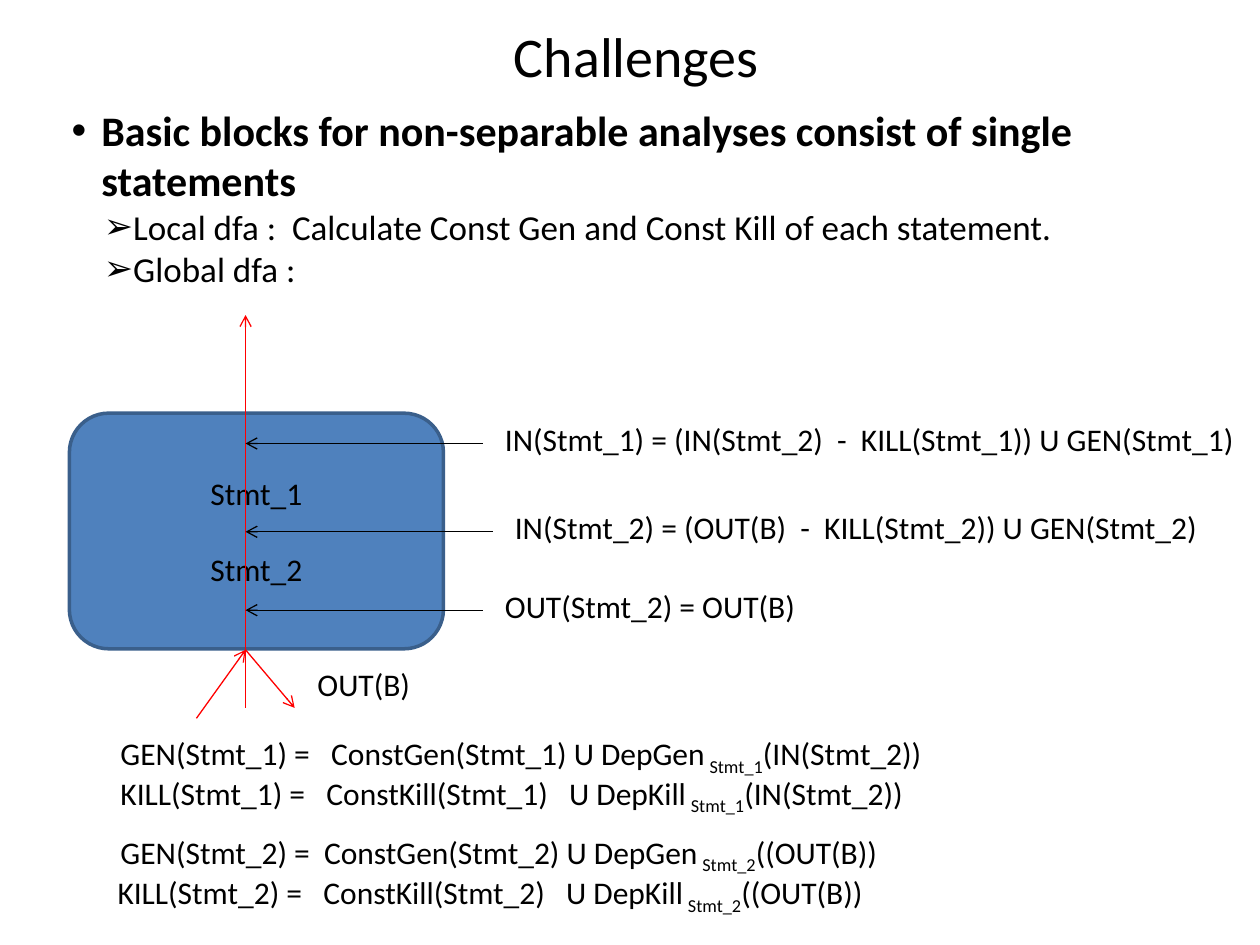
import pptx
import pptx.util
import pptx.dml.color
import pptx.enum.shapes
import pptx.enum.text
import pptx.oxml
import pptx.oxml.ns
import lxml.etree

Cm, Pt = pptx.util.Cm, pptx.util.Pt
RGB = pptx.dml.color.RGBColor
BLACK = RGB(0x00, 0x00, 0x00)
RED = RGB(0xFF, 0x00, 0x00)
BLUE = RGB(0x4F, 0x81, 0xBD)
NAVY = RGB(0x3A, 0x5F, 0x8B)
ALIGN = pptx.enum.text.PP_ALIGN
ANCHOR = pptx.enum.text.MSO_ANCHOR
TIGHT = {"space_before": Pt(0), "space_after": Pt(0)}


def put(obj, vals):
    for key, val in vals.items():
        setattr(obj, key, val)


def child(node, tag, **attrs):
    """Append a drawing element to an XML node."""
    new = lxml.etree.SubElement(node, pptx.oxml.ns.qn(tag))
    for key, val in attrs.items():
        new.set(key, str(val))
    return new


class Page:
    """Holds the text style and the slide being filled."""

    def __init__(self, slide):
        self.slide = slide
        self.style = {"name": "Calibri", "size": Pt(18), "bold": False}

    def run(self, para, text, base=0, **vals):
        run = para.add_run()
        run.text = text
        put(run.font, {**self.style, **vals})
        run.font.color.rgb = BLACK
        if base:
            run._r.get_or_add_rPr().set("baseline", str(base * 1000))

    def frame(self, shape, box, anchor=ANCHOR.TOP):
        """Place a shape and return its text frame, set to wrap."""
        put(shape, dict(zip(("left", "top", "width", "height"), map(Cm, box))))
        put(shape.text_frame, {
            "word_wrap": True,
            "auto_size": pptx.enum.text.MSO_AUTO_SIZE.NONE,
            "vertical_anchor": anchor,
        })
        return shape.text_frame

    def title(self, text, box):
        para = self.frame(self.slide.shapes.title, box, ANCHOR.MIDDLE).paragraphs[0]
        para.alignment = ALIGN.CENTER
        self.run(para, text, size=Pt(32))

    def list(self, items, box):
        """Fill the body with (level, text) items."""
        looks = (
            {"size": 24, "bold": True, "mark": "•", "left": 0.6, "hang": 0.6},
            {"size": 20, "bold": False, "mark": "➢", "left": 1.2, "hang": 0.55},
        )
        frame = self.frame(self.slide.placeholders[1], box)
        for num, (level, text) in enumerate(items):
            look = looks[level]
            para = frame.add_paragraph() if num else frame.paragraphs[0]
            put(para, {**TIGHT, "level": level})
            props = para._p.get_or_add_pPr()
            props.set("marL", str(Cm(look["left"])))
            props.set("indent", str(-Cm(look["hang"])))
            child(props, "a:buFont", typeface="Arial")
            child(props, "a:buChar", char=look["mark"])
            self.run(para, text, size=Pt(look["size"]), bold=look["bold"])

    def block(self, lines, box, gap):
        shape = self.slide.shapes.add_shape(
            pptx.enum.shapes.MSO_SHAPE.ROUNDED_RECTANGLE, 0, 0, 0, 0)
        shape.shadow.inherit = False
        shape.fill.solid()
        shape.fill.fore_color.rgb = BLUE
        shape.line.color.rgb = NAVY
        shape.line.width = Pt(2)
        frame = self.frame(shape, box, ANCHOR.MIDDLE)
        for num, text in enumerate(lines):
            para = frame.add_paragraph() if num else frame.paragraphs[0]
            put(para, {"alignment": ALIGN.CENTER, "space_before": Pt(gap if num else 0)})
            self.run(para, text)

    def arrow(self, start, end, color):
        line = self.slide.shapes.add_connector(
            pptx.enum.shapes.MSO_CONNECTOR.STRAIGHT, *map(Cm, start + end))
        line.line.color.rgb = color
        line.line.width = Pt(0.75)
        child(line.line._get_or_add_ln(), "a:tailEnd", type="arrow")
        child(line._element.spPr, "a:effectLst")

    def label(self, text, box, sub="", rest=""):
        """Add a line of text, with an optional subscript and what follows it."""
        shape = self.slide.shapes.add_textbox(0, 0, 0, 0)
        para = self.frame(shape, box).paragraphs[0]
        for part, base in ((text, 0), (sub, -25), (rest, 0)):
            if part:
                self.run(para, part, base)


def main():
    deck = pptx.Presentation()
    put(deck, {"slide_width": Cm(25.4), "slide_height": Cm(19.05)})
    page = Page(deck.slides.add_slide(deck.slide_layouts[1]))

    page.title("Challenges", (1.4, 0, 22.86, 2.21))
    page.list((
        (0, "Basic blocks for non-separable analyses consist of single statements"),
        (1, "Local dfa :  Calculate Const Gen and Const Kill of each statement."),
        (1, "Global dfa :"),
    ), (1.19, 1.98, 22.86, 12.57))
    page.block(("Stmt_1", "Stmt_2"), (1.4, 8.33, 7.54, 4.75), 21.5)

    # Control flow through the block
    mid, foot = 4.95, 13.1
    page.arrow((mid, 14.27), (mid, 6.35), RED)
    page.arrow((mid - 0.99, 14.48), (mid, foot), RED)
    page.arrow((mid, foot), (mid + 0.99, 14.27), RED)
    page.label("OUT(B)", (6.15, 13.28, 2.5, 1.02))

    # Facts at each program point
    for text, x, y, wide in (
        ("OUT(Stmt_2) = OUT(B)", 9.73, 12.3, 6.93),
        ("IN(Stmt_2) = (OUT(B)  -  KILL(Stmt_2)) U GEN(Stmt_2)", 9.93, 10.72, 14.68),
        ("IN(Stmt_1) = (IN(Stmt_2)  -  KILL(Stmt_1)) U GEN(Stmt_1)", 9.73, 8.94, 15.47),
    ):
        page.arrow((x, y), (mid, y), BLACK)
        page.label(text, (x + 0.2, y - 0.6, wide, 1.02))

    # Gen and kill equations
    for text, stmt, rest, x, y in (
        ("GEN(Stmt_1) =   ConstGen(Stmt_1) U DepGen", 1, "(IN(Stmt_2))", 2.18, 14.68),
        ("KILL(Stmt_1) =   ConstKill(Stmt_1)   U DepKill", 1, "(IN(Stmt_2))", 2.18, 15.47),
        ("GEN(Stmt_2) =  ConstGen(Stmt_2) U DepGen", 2, "((OUT(B))", 2.18, 16.66),
        ("KILL(Stmt_2) =   ConstKill(Stmt_2)   U DepKill", 2, "((OUT(B))", 2.12, 17.48),
    ):
        page.label(text, (x, y, 17.86, 1.12), f" Stmt_{stmt}", rest)

    deck.save("out.pptx")


if __name__ == "__main__":
    main()
